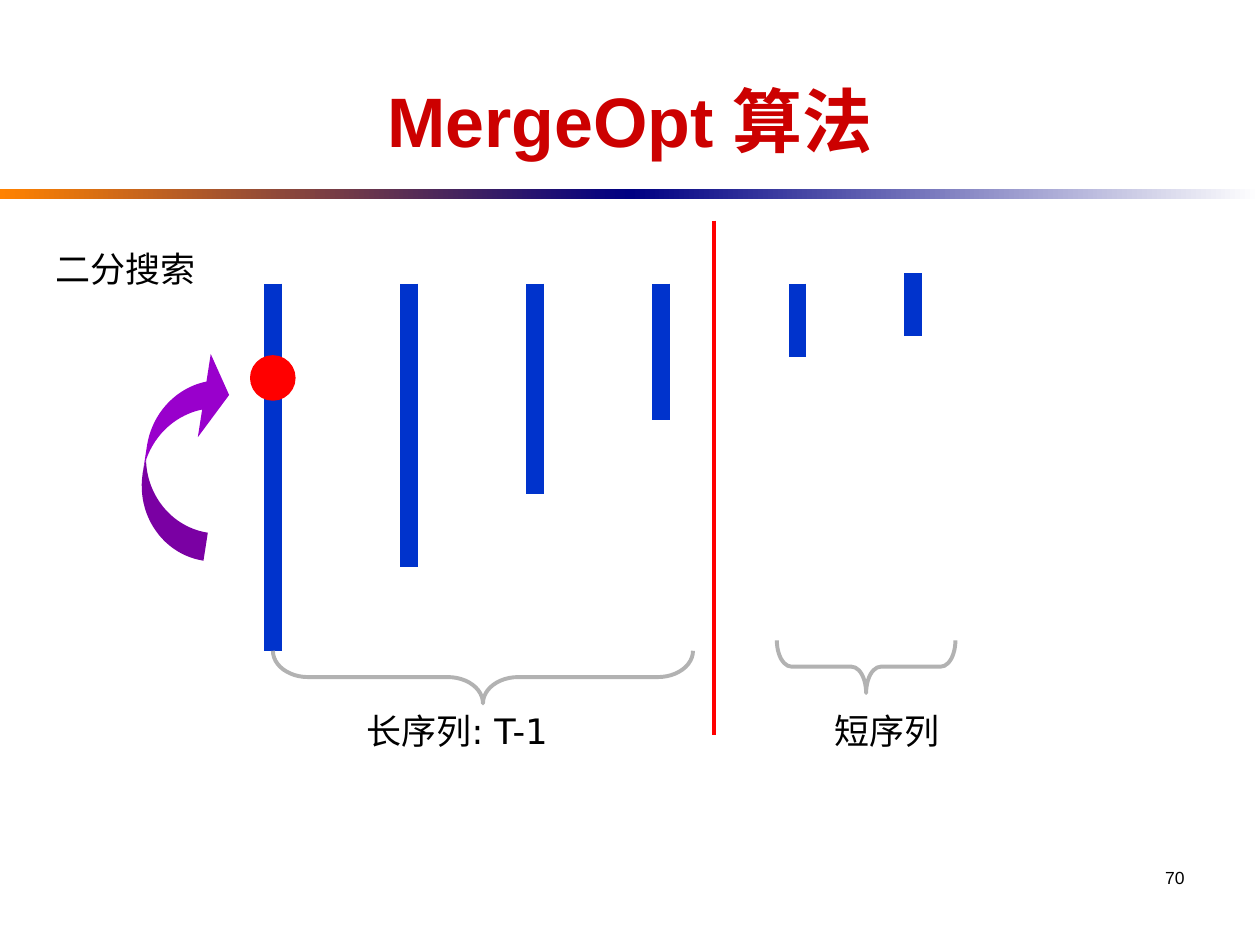
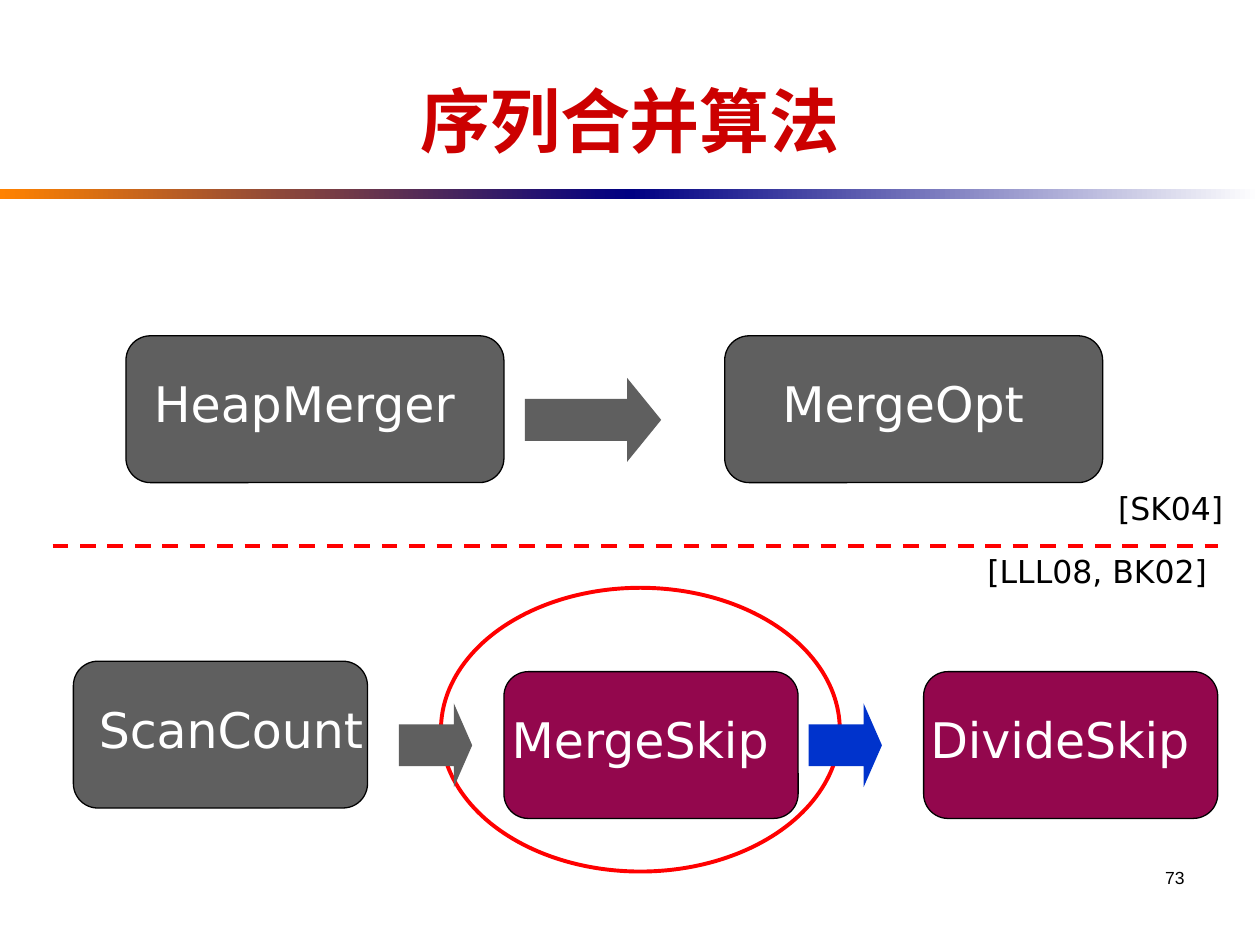
from lxml import etree
from pptx import Presentation
from pptx import util as u
from pptx.dml.color import RGBColor
from pptx.enum import dml, shapes, text
from pptx.oxml import ns

BLUE, RED, GRAY, WINE = "0033CC", "FF0000", "5F5F5F", "93074D"
BLACK, WHITE, NAVY, ORANGE = "000000", "FFFFFF", "000082", "FF8200"
TITLE_RED, PURPLE, BRACE_GRAY = "CC0000", "9900CC", "B2B2B2"
BODY_FONT, TITLE_FONT = "DejaVu Sans", "Arial"
SLIDE_WIDTH, SLIDE_HEIGHT = 25.4, 19.05
PRESET = shapes.MSO_SHAPE


def color(value):
    """Turn a hex string into a colour."""
    return RGBColor.from_string(value)


def add_shape(slide, preset, box, fill=None, line=None, weight=2.25, adjustments=()):
    """Add a preset shape with optional fill, outline and adjustments."""
    shape = slide.shapes.add_shape(preset, *map(u.Cm, box))
    shape.shadow.inherit = False
    if fill:
        shape.fill.solid()
        shape.fill.fore_color.rgb = color(fill)
    else:
        shape.fill.background()
    if line:
        shape.line.color.rgb = color(line)
        shape.line.width = u.Pt(weight)
    else:
        shape.line.fill.background()
    for index, value in enumerate(adjustments):
        shape.adjustments[index] = value
    return shape


def add_line(slide, start, end, line, weight=2.25, dash=None):
    """Add a straight line between two points."""
    ends = map(u.Cm, (*start, *end))
    connector = slide.shapes.add_connector(shapes.MSO_CONNECTOR.STRAIGHT, *ends)
    connector.line.color.rgb = color(line)
    connector.line.width = u.Pt(weight)
    if dash:
        connector.line.dash_style = dash
    properties = connector._element.spPr
    etree.SubElement(properties, ns.qn("a:effectLst"))


def add_text(slide, box, content, size, font=BODY_FONT, ink=BLACK, bold=False,
             align=text.PP_ALIGN.CENTER, anchor=text.MSO_ANCHOR.TOP):
    """Add a wrapped one-paragraph text box."""
    frame = slide.shapes.add_textbox(*map(u.Cm, box)).text_frame
    frame.word_wrap = True
    frame.vertical_anchor = anchor
    paragraph = frame.paragraphs[0]
    paragraph.alignment = align
    run = paragraph.add_run()
    run.text = content
    run.font.name = font
    run.font.size = u.Pt(size)
    run.font.bold = bold
    run.font.color.rgb = color(ink)


def add_band(slide, box):
    """Draw the two-part gradient band under the title."""
    left, top, width, height = box
    half = width / 2
    for index, ends in enumerate([(ORANGE, NAVY), (NAVY, WHITE)]):
        part = add_shape(slide, PRESET.RECTANGLE, (left + index * half, top, half, height))
        part.fill.gradient()
        part.fill.gradient_angle = 0
        for stop, value in zip(part.fill.gradient_stops, ends):
            stop.color.rgb = color(value)


def add_page(presentation, title, number):
    """Add a slide with the shared title, band and page number."""
    slide = presentation.slides.add_slide(presentation.slide_layouts[6])
    add_band(slide, (0, 3.81, SLIDE_WIDTH, 0.21))
    add_text(slide, (1.27, 0.64, 22.86, 2.75), title, 40, TITLE_FONT, TITLE_RED,
             bold=True, anchor=text.MSO_ANCHOR.BOTTOM)
    add_text(slide, (18.2, 17.36, 5.93, 1.27), str(number), 10, TITLE_FONT,
             align=text.PP_ALIGN.RIGHT)
    return slide


def add_sequences(slide, box):
    """Draw the sorted sequences and the line between long and short ones."""
    left, top, width, height = box
    bars = [(0, 1.27, 7.41), (2.75, 1.27, 5.72), (5.29, 1.27, 4.23),
            (7.83, 1.27, 2.75), (10.58, 1.27, 1.48), (12.91, 1.06, 1.27)]
    for offset, drop, length in bars:
        start = left + offset, top + drop
        add_line(slide, start, (start[0], start[1] + length), BLUE, 10)
    divider = left + 8.89
    add_line(slide, (divider, top), (divider, top + height), RED)


def add_search(slide, box):
    """Draw the binary search label, its turning arrow and the found item."""
    left, top, width, height = box
    add_text(slide, (left, top, 7.62, 1.12), "二分搜索", 20)
    arrow = add_shape(slide, PRESET.CURVED_DOWN_ARROW, (left + 2.85, top + 3.49, 4.23, 1.48),
                      PURPLE, adjustments=(0.386, 1.147, 0.333))
    arrow.rotation = 278.8
    add_shape(slide, PRESET.OVAL, (left + width - 0.84, top + 2.33, 0.84, 0.84), RED, RED)


def add_group(slide, box, curve, label, label_left):
    """Draw a brace pointing down with its label below."""
    left, top, width, height = box
    upright = (left + (width - height) / 2, top + (height - width) / 2, height, width)
    brace = add_shape(slide, PRESET.RIGHT_BRACE, upright, line=BRACE_GRAY,
                      adjustments=(curve, 0.5))
    brace.rotation = 90
    add_text(slide, (label_left, 14.18, 9.53, 1.12), label, 20)


def add_stage(slide, box, name, fill, label_shift):
    """Draw one algorithm box with its name."""
    left, top, width, height = box
    add_shape(slide, PRESET.FLOWCHART_ALTERNATE_PROCESS, box, fill, BLACK, 0.75)
    add_text(slide, (left + label_shift, top + 0.64, 6.77, 1.45), name, 28, ink=WHITE)


def add_earlier_algorithms(slide, box):
    """Draw the upper row of algorithms and its citation."""
    left, top, width, height = box
    for index, name in enumerate(["HeapMerger", "MergeOpt"]):
        stage = (left + index * 12.07, top, 7.62, height)
        add_stage(slide, stage, name, GRAY, 0.21)
    add_shape(slide, PRESET.RIGHT_ARROW, (left + 8.04, top + 0.85, 2.75, 1.69), GRAY,
              adjustments=(0.5, 0.406))
    add_text(slide, (left + 19.26, top + height, 3.6, 1.02), "[SK04]", 18)


def add_later_algorithms(slide, box):
    """Draw the lower row of algorithms, its highlight and citation."""
    left, top, width, height = box
    add_text(slide, (18.84, top, 6.56, 1.02), "[LLL08, BK02]", 18)
    add_shape(slide, PRESET.OVAL, (left + 7.41, top + 0.85, 8.04, 5.72), line=RED)
    stages = [("ScanCount", 0, 2.33, GRAY, -0.21), ("MergeSkip", 8.68, 2.54, WINE, -0.64),
              ("DivideSkip", 17.14, 2.54, WINE, -0.64)]
    for name, offset, drop, fill, shift in stages:
        add_stage(slide, (left + offset, top + drop, 5.93, 2.96), name, fill, shift)
    for offset, fill in [(6.56, GRAY), (14.82, BLUE)]:
        add_shape(slide, PRESET.RIGHT_ARROW, (left + offset, top + 3.18, 1.48, 1.69), fill,
                  adjustments=(0.5, 0.25))


def build_merge_opt(presentation):
    """Build the slide on the MergeOpt algorithm."""
    slide = add_page(presentation, "MergeOpt 算法", 70)
    add_sequences(slide, (5.5, 4.45, 12.91, 10.37))
    add_group(slide, (5.5, 13.12, 8.47, 1.06), 0.67, "长序列: T-1", 4.45)
    add_group(slide, (15.66, 12.91, 3.6, 1.06), 0.28, "短序列", 13.12)
    add_search(slide, (-1.27, 4.87, 7.19, 6.5))


def build_overview(presentation):
    """Build the slide that compares the merging algorithms."""
    slide = add_page(presentation, "序列合并算法", 73)
    add_earlier_algorithms(slide, (2.54, 6.77, 19.69, 2.96))
    add_line(slide, (1.06, 11), (24.55, 11), RED, dash=dml.MSO_LINE.DASH)
    add_later_algorithms(slide, (1.48, 11, 23.07, 6.57))


def main():
    """Create and save the presentation."""
    presentation = Presentation()
    presentation.slide_width = u.Cm(SLIDE_WIDTH)
    presentation.slide_height = u.Cm(SLIDE_HEIGHT)
    build_merge_opt(presentation)
    build_overview(presentation)
    presentation.save("out.pptx")


if __name__ == "__main__":
    main()
